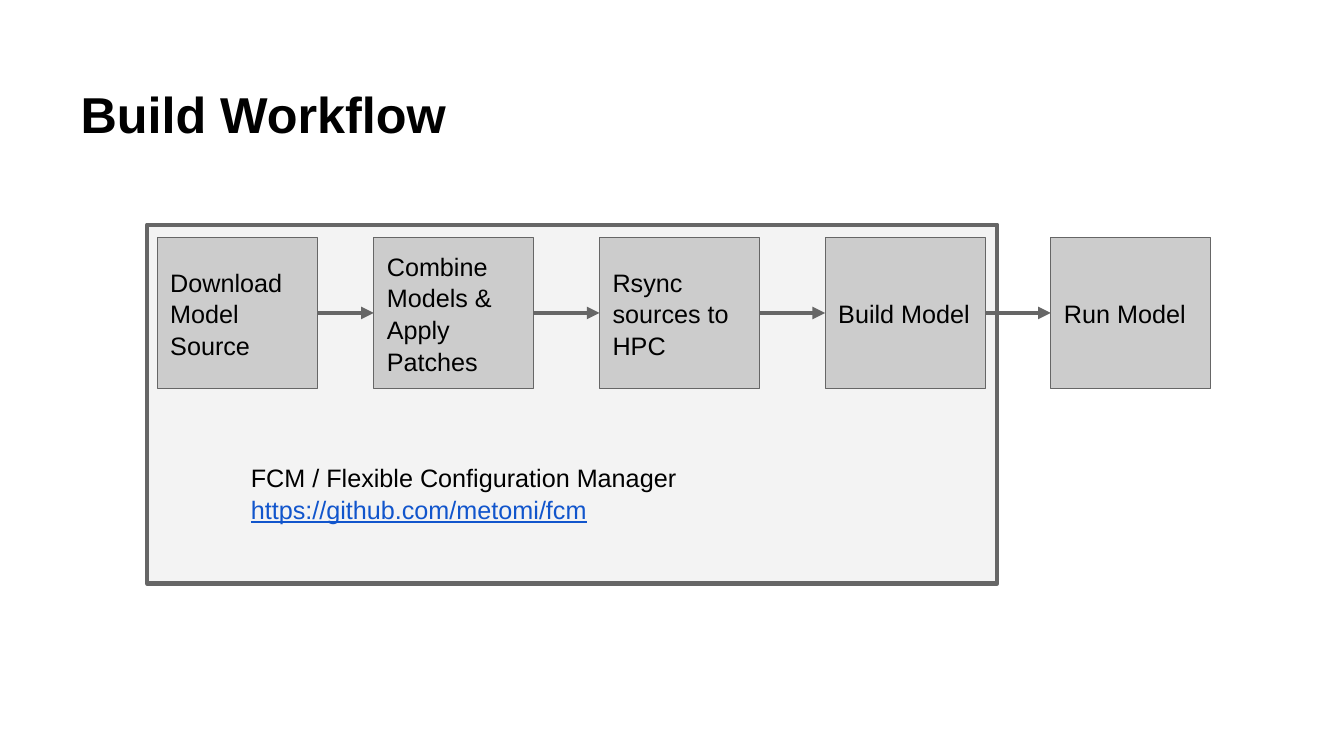
"""Build the Build Workflow slide: five linked steps, four inside a frame."""
from pptx import Presentation, util as u
from pptx.dml.color import RGBColor
from pptx.enum import shapes, text
from pptx.oxml.ns import qn
from lxml import etree

TITLE = "Build Workflow"
STEPS = ["Download Model Source", "Combine Models & Apply Patches",
         "Rsync sources to HPC", "Build Model", "Run Model"]
TOOL = "FCM / Flexible Configuration Manager"
URL = "https://github.com/metomi/fcm"

THEME = {"font": "Arial", "ink": "000000", "line": "666666", "box": "CCCCCC",
         "frame": "F3F3F3", "link": "1155CC", "head": 36, "body": 18,
         "thick": 3, "thin": 0.75, "inset": 0.13, "lead": 1.05}
FIRST, SECOND, STEP = 1.56, 3.71, 2.24
TOP, WIDE, HIGH = 2.36, 1.59, 1.49


def color(key):
    return RGBColor.from_string(THEME[key])


def place(*area):
    return [u.Inches(n) for n in area]


def write(shape, lines, anchor, size="body", bold=False):
    frame = shape.text_frame
    frame.word_wrap = True
    frame.vertical_anchor = anchor
    frame.margin_left = frame.margin_right = u.Inches(THEME["inset"])
    frame.margin_top = frame.margin_bottom = u.Inches(THEME["inset"])
    frame.text = "\n".join(lines)
    for para in frame.paragraphs:
        para.alignment = text.PP_ALIGN.LEFT
        para.line_spacing = THEME["lead"]
        font = para.font
        font.name, font.size, font.bold = THEME["font"], u.Pt(THEME[size]), bold
        font.color.rgb = color("ink")
    return frame


def stroke(line, width):
    line.color.rgb = color("line")
    line.width = u.Pt(THEME[width])


def rect(slide, area, fill, width):
    box = slide.shapes.add_shape(shapes.MSO_SHAPE.RECTANGLE, *place(*area))
    box.shadow.inherit = False
    box.fill.solid()
    box.fill.fore_color.rgb = color(fill)
    stroke(box.line, width)
    return box


def join(slide, left, right):
    link = slide.shapes.add_connector(shapes.MSO_CONNECTOR.STRAIGHT, 0, 0, 0, 0)
    link.begin_connect(left, 3)
    link.end_connect(right, 1)
    stroke(link.line, "thick")
    etree.SubElement(link.line._get_or_add_ln(), qn("a:tailEnd"), type="triangle")
    etree.SubElement(link._element.spPr, qn("a:effectLst"))


def main():
    deck = Presentation()
    deck.slide_width, deck.slide_height = place(13.34, 7.5)
    slide = deck.slides.add_slide(deck.slide_layouts[6])

    rect(slide, (1.46, 2.23, 8.44, 3.56), "frame", "thick")
    lefts = [FIRST] + [SECOND + STEP * i for i in range(len(STEPS) - 1)]
    boxes = []
    for left, label in zip(lefts, STEPS):
        box = rect(slide, (left, TOP, WIDE, HIGH), "box", "thin")
        write(box, [label], text.MSO_ANCHOR.MIDDLE)
        boxes.append(box)

    title = slide.shapes.add_textbox(*place(0.67, 0.3, 12, 1.25))
    write(title, [TITLE], text.MSO_ANCHOR.BOTTOM, "head", True)
    note = slide.shapes.add_textbox(*place(2.36, 4.44, 7.32, 0.85))
    frame = write(note, [TOOL, URL], text.MSO_ANCHOR.TOP)
    font = frame.paragraphs[1].font
    font.color.rgb = color("link")
    font.underline = True

    for left, right in zip(boxes, boxes[1:]):
        join(slide, left, right)
    deck.save("out.pptx")


if __name__ == "__main__":
    main()
